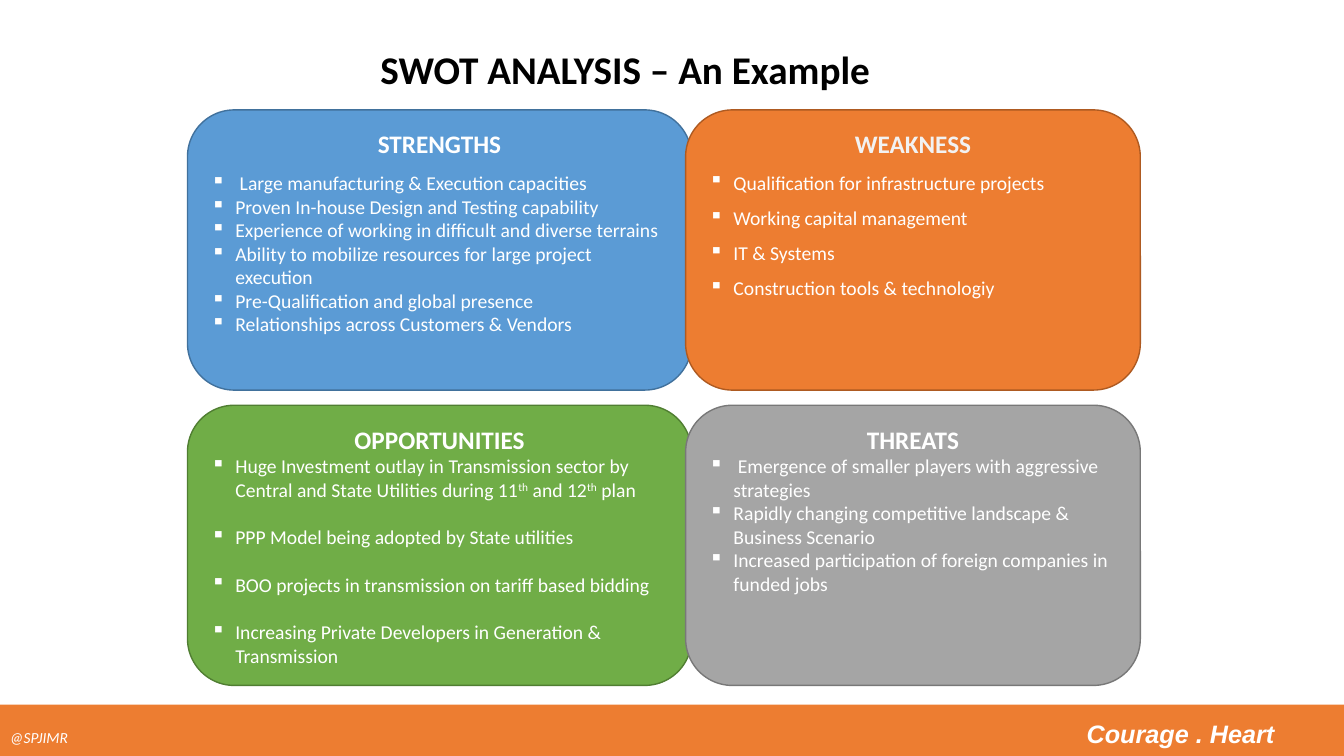
from lxml import etree
from pptx import Presentation, util as u
from pptx.dml.color import RGBColor
from pptx.enum import shapes, text
from pptx.oxml.ns import qn

# Content: heading, heading colour, fill, line, bullets ("^" marks superscript)
PARTS = [
    ("STRENGTHS", "FFFFFF", "5B9BD5", "41719C", [
        " Large manufacturing & Execution capacities",
        "Proven In-house Design and Testing capability",
        "Experience of working in difficult and diverse terrains",
        "Ability to mobilize resources for large project execution",
        "Pre-Qualification and global presence",
        "Relationships across Customers & Vendors"]),
    ("WEAKNESS", "F2F2F2", "ED7D31", "AE5A21", [
        "Qualification for infrastructure projects",
        "Working capital management",
        "IT & Systems",
        "Construction tools & technologiy"]),
    ("OPPORTUNITIES", "FFFFFF", "70AD47", "507E32", [
        "Huge Investment outlay in Transmission sector by Central and "
        "State Utilities during 11^th^ and 12^th^ plan",
        "PPP Model being adopted by State utilities",
        "BOO projects in transmission on tariff based bidding",
        "Increasing Private Developers in Generation & Transmission"]),
    ("THREATS", "FFFFFF", "A5A5A5", "787878", [
        " Emergence of smaller players with aggressive strategies",
        "Rapidly changing competitive landscape & Business Scenario",
        "Increased participation of foreign companies in funded jobs"]),
]
# Per part: space before first bullet, space before the rest, line spacing
GAPS = [(8.8, 0, 1), (0, 0, 1.5), (0, 17.1, 1), (0, 0, 1)]
TITLE = "SWOT ANALYSIS – An Example"
HANDLE, MOTTO = "@SPJIMR", "Courage . Heart"

# Grid in inches: left and width of columns, top of rows
WIDE, HIGH = 13.33, 7.5
COLS = [(1.86, 5), (6.8, 4.51)]
ROWS = [1.09, 4.02]
TALL, BAR = 2.78, 0.51

deck = Presentation()
deck.slide_width, deck.slide_height = u.Inches(WIDE), u.Inches(HIGH)
page = deck.slides.add_slide(deck.slide_layouts[6])


def color(code):
    return RGBColor.from_string(code)


def add_run(para, words, size, code="FFFFFF", bold=False, slant=False, face="Calibri"):
    run = para.add_run()
    run.text = words
    font = run.font
    font.size, font.name, font.bold, font.italic = u.Pt(size), face, bold, slant
    font.color.rgb = color(code)
    return run


def add_box(kind, place, fill, line=None):
    box = page.shapes.add_shape(kind, *[u.Inches(n) for n in place])
    box.shadow.inherit = False
    box.fill.solid()
    box.fill.fore_color.rgb = color(fill)
    if line:
        box.line.color.rgb = color(line)
        box.line.width = u.Pt(1)
    else:
        box.line.fill.background()
    return box


def add_bullet(para):
    props = para._p.get_or_add_pPr()
    props.set("marL", str(u.Inches(0.24)))
    props.set("indent", str(-u.Inches(0.24)))
    tint = etree.SubElement(props, qn("a:buClr"))
    etree.SubElement(tint, qn("a:srgbClr"), val="FFFFFF")
    etree.SubElement(props, qn("a:buChar"), char="▪")
    para.alignment = text.PP_ALIGN.LEFT


# Footer bar: handle at the left, motto at a tab stop
bar = add_box(shapes.MSO_SHAPE.RECTANGLE, (0, HIGH - BAR, WIDE, BAR), "ED7D31")
bar.text_frame.vertical_anchor = text.MSO_ANCHOR.MIDDLE
para = bar.text_frame.paragraphs[0]
para.alignment = text.PP_ALIGN.LEFT
stops = etree.SubElement(para._p.get_or_add_pPr(), qn("a:tabLst"))
etree.SubElement(stops, qn("a:tab"), pos=str(u.Inches(10.68)), algn="l")
add_run(para, HANDLE, 11, slant=True)
add_run(para, "\t", 24)
add_run(para, MOTTO, 18, bold=True, slant=True, face="Arial")

# Four quadrants
for i, (head, tone, fill, line, items) in enumerate(PARTS):
    left, width = COLS[i % 2]
    box = add_box(shapes.MSO_SHAPE.ROUNDED_RECTANGLE,
                  (left, ROWS[i // 2], width, TALL), fill, line)
    box.adjustments[0] = 0.167
    frame = box.text_frame
    frame.word_wrap = True
    frame.vertical_anchor = text.MSO_ANCHOR.TOP
    para = frame.paragraphs[0]
    para.alignment = text.PP_ALIGN.CENTER
    add_run(para, head, 18, tone, bold=True)
    first, rest, lead = GAPS[i]
    for j, item in enumerate(items):
        para = frame.add_paragraph()
        add_bullet(para)
        para.space_before = u.Pt(rest if j else first)
        para.line_spacing = float(lead)
        for k, piece in enumerate(item.split("^")):
            run = add_run(para, piece, 14)
            if k % 2:
                run._r.get_or_add_rPr().set("baseline", "30000")

# Title
box = page.shapes.add_textbox(*[u.Inches(n) for n in (1.7, 0.4, 9, 0.7)])
box.text_frame.word_wrap = True
para = box.text_frame.paragraphs[0]
para.alignment = text.PP_ALIGN.CENTER
add_run(para, TITLE, 28, "000000", bold=True)

deck.save("out.pptx")
